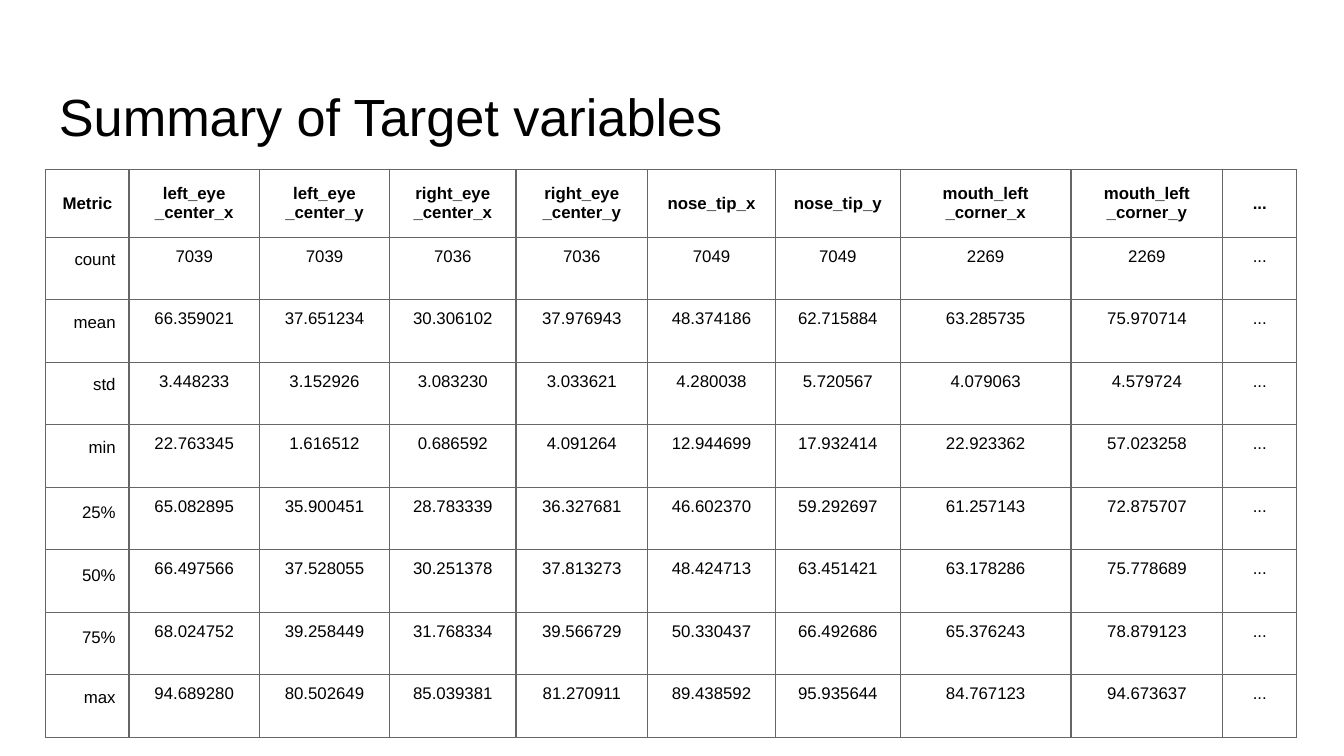
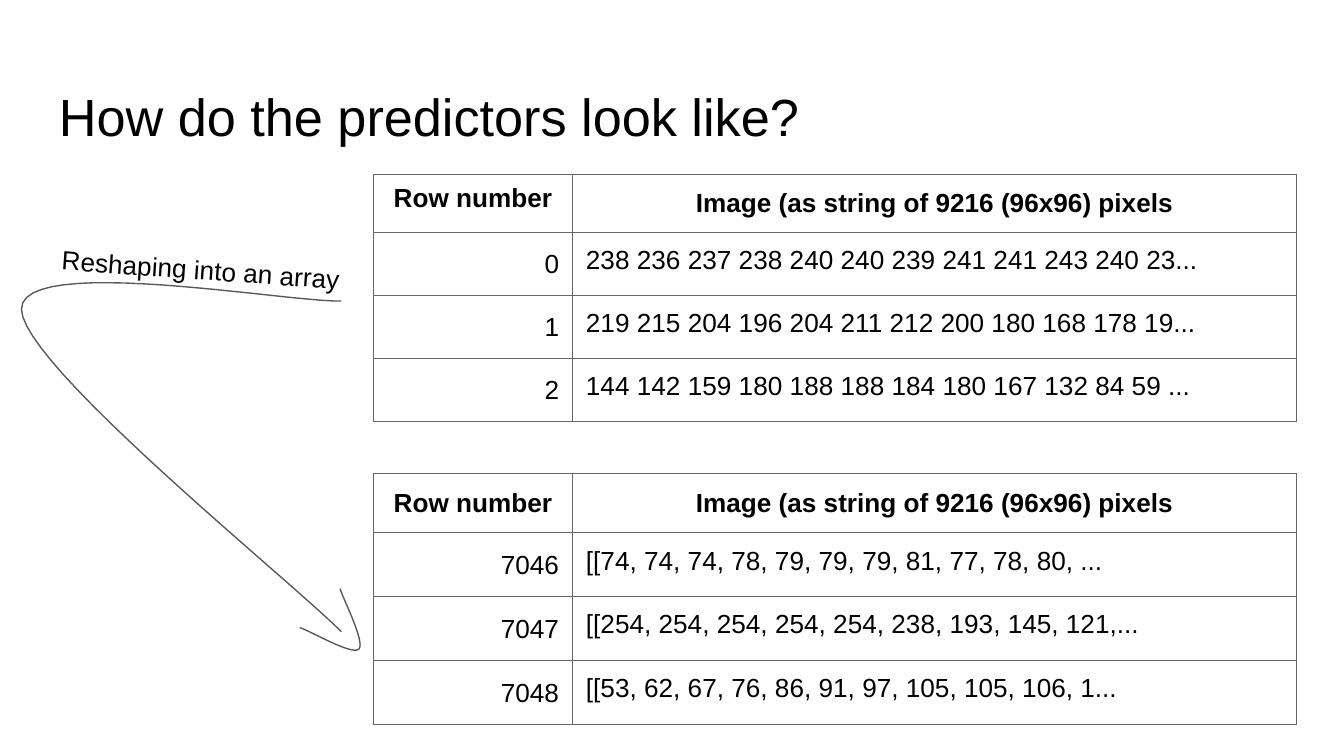
from collections.abc import Callable
from dataclasses import dataclass, replace

from lxml.etree import SubElement
from pptx import Presentation
from pptx.dml.color import RGBColor
from pptx.enum.text import MSO_ANCHOR, PP_ALIGN
from pptx.oxml.ns import qn
from pptx.util import Emu, Pt

# Shared look: 200 px to the inch
EMU_PER_PX = 4572
SLIDE_WIDTH, SLIDE_HEIGHT = 2000, 1125
FONT = "Arial"
WHITE = RGBColor(0xFF, 0xFF, 0xFF)
BLACK = RGBColor(0x00, 0x00, 0x00)
BORDER_GREY = RGBColor(0x66, 0x66, 0x66)
ARROW_GREY = RGBColor(0x59, 0x59, 0x59)
OUTER_BORDER, INNER_BORDER = Pt(0.5), Pt(0.75)
INSET, TIGHT_INSET = 20, 15
CURVE_STEPS = 24

Point = tuple[int, int]


@dataclass(frozen=True)
class CellStyle:
    align: PP_ALIGN
    inset: int = INSET
    bold: bool = False
    anchor: MSO_ANCHOR = MSO_ANCHOR.TOP
    line_spacing: float | None = None


@dataclass(frozen=True)
class Grid:
    left: int
    top: int
    columns: list[int]
    head_height: int
    row_height: int
    text_size: int
    rows: list[list[str]]
    style_of: Callable[[int, int], CellStyle]


@dataclass(frozen=True)
class Label:
    text: str
    left: int
    top: int
    width: int
    height: int
    size: int
    inset_top: int = INSET
    rotation: int = 0


@dataclass(frozen=True)
class Curve:
    """A start point and, for each cubic piece, two controls and an end."""
    start: Point
    pieces: list[tuple[Point, Point, Point]]


HEAD = CellStyle(PP_ALIGN.CENTER, bold=True, anchor=MSO_ANCHOR.MIDDLE)
ROW_NAME = CellStyle(PP_ALIGN.RIGHT)
ROW_NUMBER = replace(ROW_NAME, line_spacing=1.15)
STATISTIC = CellStyle(PP_ALIGN.CENTER, inset=TIGHT_INSET)
PIXELS = CellStyle(PP_ALIGN.LEFT)


def px(length: float) -> Emu:
    return Emu(round(length * EMU_PER_PX))


# Slide 1 content
SUMMARY_ROWS = [
    ["Metric", "left_eye\n_center_x", "left_eye\n_center_y", "right_eye\n_center_x",
     "right_eye\n_center_y", "nose_tip_x", "nose_tip_y", "mouth_left\n_corner_x",
     "mouth_left\n_corner_y"],
    ["count", "7039", "7039", "7036", "7036", "7049", "7049", "2269", "2269"],
    ["mean", "66.359021", "37.651234", "30.306102", "37.976943",
     "48.374186", "62.715884", "63.285735", "75.970714"],
    ["std", "3.448233", "3.152926", "3.083230", "3.033621",
     "4.280038", "5.720567", "4.079063", "4.579724"],
    ["min", "22.763345", "1.616512", "0.686592", "4.091264",
     "12.944699", "17.932414", "22.923362", "57.023258"],
    ["25%", "65.082895", "35.900451", "28.783339", "36.327681",
     "46.602370", "59.292697", "61.257143", "72.875707"],
    ["50%", "66.497566", "37.528055", "30.251378", "37.813273",
     "48.424713", "63.451421", "63.178286", "75.778689"],
    ["75%", "68.024752", "39.258449", "31.768334", "39.566729",
     "50.330437", "66.492686", "65.376243", "78.879123"],
    ["max", "94.689280", "80.502649", "85.039381", "81.270911",
     "89.438592", "95.935644", "84.767123", "94.673637"],
]


def summary_style(row: int, column: int) -> CellStyle:
    if row == 0:
        return HEAD
    if column > 0:
        return STATISTIC
    return ROW_NUMBER if SUMMARY_ROWS[row][0].endswith("%") else ROW_NAME


SUMMARY = Grid(68, 252, [124, 194, 194, 188, 196, 190, 186, 254, 226, 110], 101, 93, 9,
               [row + ["..."] for row in SUMMARY_ROWS], summary_style)


# Slide 2 content
def predictor_grid(top: int, head_height: int, row_height: int, key_anchor: MSO_ANCHOR,
                   rows: list[list[str]]) -> Grid:
    key_head = replace(HEAD, inset=TIGHT_INSET, anchor=key_anchor)

    def style_of(row: int, column: int) -> CellStyle:
        if row == 0:
            return HEAD if column else key_head
        return PIXELS if column else ROW_NUMBER

    head = ["Row number", "Image (as string of 9216 (96x96) pixels"]
    return Grid(556, top, [296, 1078], head_height, row_height, 14, [head] + rows, style_of)


PREDICTORS = [
    predictor_grid(259, 80, 86, MSO_ANCHOR.TOP, [
        ["0", "238 236 237 238 240 240 239 241 241 243 240 23..."],
        ["1", "219 215 204 196 204 211 212 200 180 168 178 19..."],
        ["2", "144 142 159 180 188 188 184 180 167 132 84 59 ..."],
    ]),
    predictor_grid(705, 88, 95, MSO_ANCHOR.MIDDLE, [
        ["7046", "[[74, 74, 74, 78, 79, 79, 79, 81, 77, 78, 80, ..."],
        ["7047", "[[254, 254, 254, 254, 254, 238, 193, 145, 121,..."],
        ["7048", "[[53, 62, 67, 76, 86, 91, 97, 105, 105, 106, 1..."],
    ]),
]
RESHAPING = Label("Reshaping into an array", 72, 358, 472, 84, 14, rotation=4)
ARROW_SHAFT = Curve((508, 448), [((428, 450), (32, 378), (32, 460)),
                                 ((32, 542), (428, 860), (508, 940))])
ARROW_TIP = Curve((506, 876), [((510, 890), (544, 956), (534, 966)),
                               ((524, 976), (460, 938), (446, 934))])


# Drawing
def write_text(frame, text: str, size: int, style: CellStyle) -> None:
    for index, line in enumerate(text.split("\n")):
        para = frame.add_paragraph() if index else frame.paragraphs[0]
        para.alignment = style.align
        if style.line_spacing:
            para.line_spacing = style.line_spacing
        span = para.add_run()
        span.text = line
        span.font.name = FONT
        span.font.size = Pt(size)
        span.font.bold = style.bold
        span.font.color.rgb = BLACK


def draw_label(page, label: Label) -> None:
    box = page.shapes.add_textbox(px(label.left), px(label.top),
                                  px(label.width), px(label.height))
    box.rotation = label.rotation
    frame = box.text_frame
    frame.word_wrap = True
    frame.margin_left = frame.margin_right = frame.margin_bottom = px(INSET)
    frame.margin_top = px(label.inset_top)
    write_text(frame, label.text, label.size, CellStyle(PP_ALIGN.LEFT))


def draw_borders(cell, first: bool, last: bool) -> None:
    widths = {
        "a:lnL": OUTER_BORDER if first else INNER_BORDER,
        "a:lnR": OUTER_BORDER if last else INNER_BORDER,
        "a:lnT": OUTER_BORDER,
        "a:lnB": OUTER_BORDER,
    }
    properties = cell._tc.get_or_add_tcPr()
    for side, width in widths.items():
        line = SubElement(properties, qn(side), w=str(int(width)))
        fill = SubElement(line, qn("a:solidFill"))
        SubElement(fill, qn("a:srgbClr"), val=str(BORDER_GREY))


def draw_grid(page, grid: Grid) -> None:
    heights = [grid.head_height] + [grid.row_height] * (len(grid.rows) - 1)
    table = page.shapes.add_table(len(heights), len(grid.columns), px(grid.left), px(grid.top),
                                  px(sum(grid.columns)), px(sum(heights))).table
    table.first_row = table.horz_banding = False
    for column, width in zip(table.columns, grid.columns):
        column.width = px(width)
    for row, height in zip(table.rows, heights):
        row.height = px(height)
    last_column = len(grid.columns) - 1
    for row_index, texts in enumerate(grid.rows):
        for column_index, text in enumerate(texts):
            cell = table.cell(row_index, column_index)
            style = grid.style_of(row_index, column_index)
            draw_borders(cell, column_index == 0, column_index == last_column)
            cell.fill.background()
            cell.vertical_anchor = style.anchor
            cell.margin_left = cell.margin_right = px(INSET)
            cell.margin_top = cell.margin_bottom = px(style.inset)
            write_text(cell.text_frame, text, grid.text_size, style)


def curve_points(curve: Curve) -> list[Point]:
    points, start = [], curve.start
    for first, second, end in curve.pieces:
        for step in range(1, CURVE_STEPS + 1):
            t = step / CURVE_STEPS
            weights = ((1 - t) ** 3, 3 * t * (1 - t) ** 2, 3 * t * t * (1 - t), t ** 3)
            knots = (start, first, second, end)
            x, y = (sum(weight * knot[axis] for weight, knot in zip(weights, knots))
                    for axis in (0, 1))
            points.append((px(x), px(y)))
        start = end
    return points


def draw_curve(page, curve: Curve) -> None:
    x, y = curve.start
    builder = page.shapes.build_freeform(px(x), px(y))
    builder.add_line_segments(curve_points(curve), close=False)
    shape = builder.convert_to_shape()
    shape.shadow.inherit = False
    shape.fill.background()
    shape.line.color.rgb = ARROW_GREY
    shape.line.width = Pt(0.75)


def add_page(deck, title: str):
    page = deck.slides.add_slide(deck.slide_layouts[6])
    page.background.fill.solid()
    page.background.fill.fore_color.rgb = WHITE
    draw_label(page, Label(title, 68, 98, 1864, 126, 28, inset_top=28))
    return page


def main() -> None:
    deck = Presentation()
    deck.slide_width, deck.slide_height = px(SLIDE_WIDTH), px(SLIDE_HEIGHT)

    summary_page = add_page(deck, "Summary of Target variables")
    draw_grid(summary_page, SUMMARY)

    predictors_page = add_page(deck, "How do the predictors look like?")
    for grid in PREDICTORS:
        draw_grid(predictors_page, grid)
    draw_label(predictors_page, RESHAPING)
    for curve in (ARROW_SHAFT, ARROW_TIP):
        draw_curve(predictors_page, curve)

    deck.save("out.pptx")


if __name__ == "__main__":
    main()
